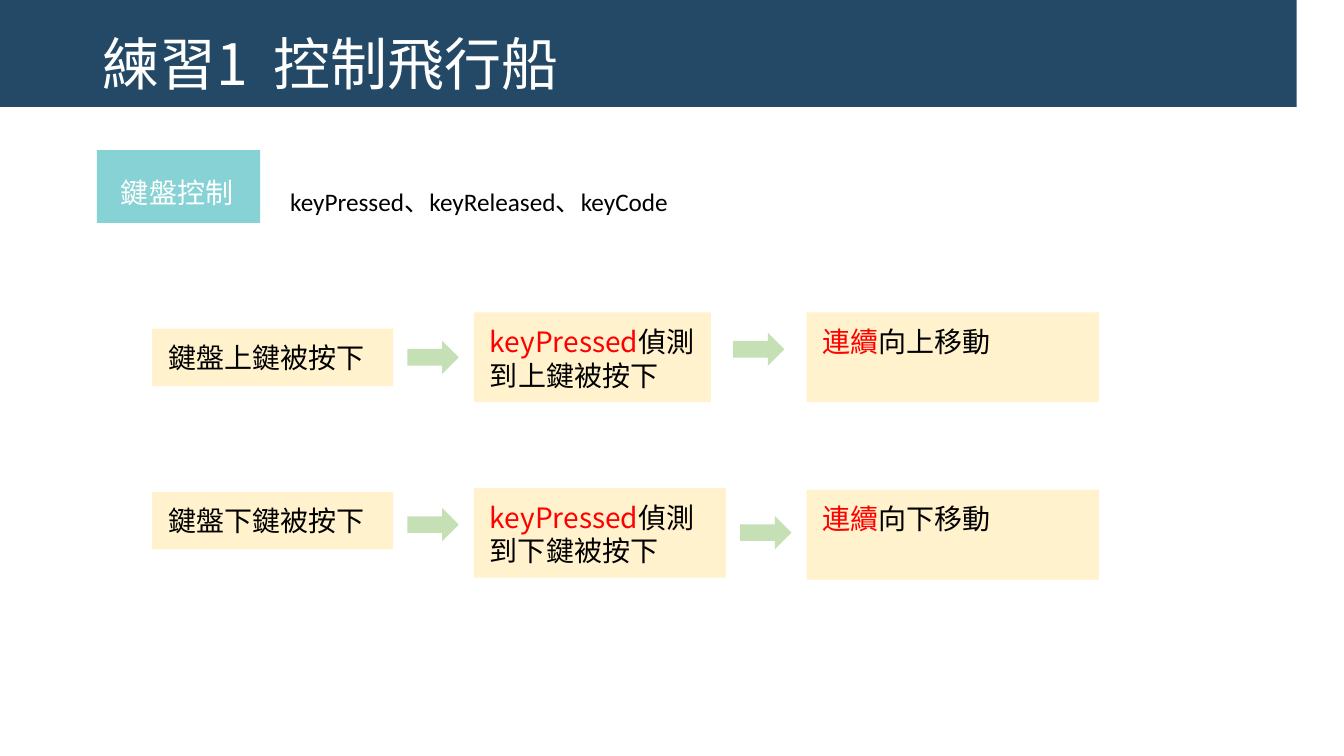
"""Build the slide on controlling the airship with the keyboard."""
from lxml import etree
from pptx import Presentation
from pptx import util as u
from pptx.dml.color import RGBColor
from pptx.enum import shapes, text
from pptx.oxml import ns

NAVY = RGBColor(0x23, 0x49, 0x66)
TEAL = RGBColor(0x86, 0xD2, 0xD4)
CREAM = RGBColor(0xFF, 0xF2, 0xCC)
GREEN = RGBColor(0xC5, 0xE0, 0xB4)
WHITE = RGBColor(0xFF, 0xFF, 0xFF)
BLACK = RGBColor(0, 0, 0)
RED = RGBColor(0xFF, 0, 0)

CJK = "Noto Sans CJK SC"
LATIN = "Calibri"
RECTANGLE = shapes.MSO_SHAPE.RECTANGLE
CARD = shapes.MSO_SHAPE.ROUNDED_RECTANGLE
ARROW = shapes.MSO_SHAPE.RIGHT_ARROW

BANNER = (0, 0, 12.86, 1.06)
TITLE = ("練習1  控制飛行船", (0.92, 0.28, 5.12, 0.78))
LABEL = ("鍵盤控制", (0.96, 1.49, 1.62, 0.72))
FUNCTIONS = ("keyPressed、keyReleased、keyCode", (2.78, 1.8, 3.98, 0.4))

KEY_LEFT, DETECT_LEFT, MOVE_LEFT = 1.51, 4.7, 8
KEY_SIZE, MOVE_SIZE, ARROW_SIZE = (2.39, 0.57), (2.9, 0.89), (0.51, 0.33)
DETECT_HEIGHT = 0.89
FIRST_ARROW_LEFT = 4.04

FLOWS = [
    {"direction": "上", "key_top": 3.26, "detect_top": 3.1, "detect_width": 2.35,
     "move_top": 3.1, "arrows": [(FIRST_ARROW_LEFT, 3.38), (7.27, 3.3)]},
    {"direction": "下", "key_top": 4.88, "detect_top": 4.84, "detect_width": 2.5,
     "move_top": 4.86, "arrows": [(FIRST_ARROW_LEFT, 5.04), (7.34, 5.12)]},
]


def add_block(slide, kind, place, color):
    block = slide.shapes.add_shape(kind, *map(u.Inches, place))
    block.shadow.inherit = False
    block.fill.solid()
    block.fill.fore_color.rgb = color
    block.line.fill.background()
    if kind == CARD:
        block.adjustments[0] = 0
    return block


def write(box, spans, size=20, font=CJK, inset=(0.1, 0.05), spacing=1.0,
          anchor=text.MSO_ANCHOR.TOP):
    across, down = map(u.Inches, inset)
    frame = box.text_frame
    frame_format = {"word_wrap": True, "vertical_anchor": anchor,
                    "margin_left": across, "margin_right": across,
                    "margin_top": down, "margin_bottom": down}
    for name, value in frame_format.items():
        setattr(frame, name, value)
    para = frame.paragraphs[0]
    para.alignment = text.PP_ALIGN.LEFT
    para.line_spacing = spacing
    for words, color in spans:
        span = para.add_run()
        span.text = words
        for name, value in {"size": u.Pt(size), "name": font}.items():
            setattr(span.font, name, value)
        span.font.color.rgb = color
        east_asian = etree.SubElement(span.font._element, ns.qn("a:ea"))
        east_asian.set("typeface", font)


def add_text(slide, content, color, **text_format):
    words, place = content
    box = slide.shapes.add_textbox(*map(u.Inches, place))
    write(box, [(words, color)], **text_format)


def add_flow(slide, flow):
    direction = flow["direction"]
    cards = [
        ((KEY_LEFT, flow["key_top"], *KEY_SIZE),
         [(f"鍵盤{direction}鍵被按下", BLACK)]),
        ((DETECT_LEFT, flow["detect_top"], flow["detect_width"], DETECT_HEIGHT),
         [("keyPressed", RED), (f"偵測到{direction}鍵被按下", BLACK)]),
        ((MOVE_LEFT, flow["move_top"], *MOVE_SIZE),
         [("連續", RED), (f"向{direction}移動", BLACK)]),
    ]
    for place, spans in cards:
        write(add_block(slide, CARD, place, CREAM), spans, inset=(0.16, 0.12))
    for corner in flow["arrows"]:
        add_block(slide, ARROW, (*corner, *ARROW_SIZE), GREEN)


def main():
    deck = Presentation()
    deck.slide_width, deck.slide_height = u.Inches(13.33), u.Inches(7.5)
    slide = deck.slides.add_slide(deck.slide_layouts[6])
    add_block(slide, RECTANGLE, BANNER, NAVY)
    label_words, label_place = LABEL
    label = add_block(slide, CARD, label_place, TEAL)
    write(label, [(label_words, WHITE)], inset=(0.24, 0.08), spacing=1.5)
    add_text(slide, TITLE, WHITE, size=40.7, spacing=0.9,
             anchor=text.MSO_ANCHOR.MIDDLE)
    add_text(slide, FUNCTIONS, BLACK, size=18, font=LATIN)
    for flow in FLOWS:
        add_flow(slide, flow)
    deck.save("out.pptx")


if __name__ == "__main__":
    main()
